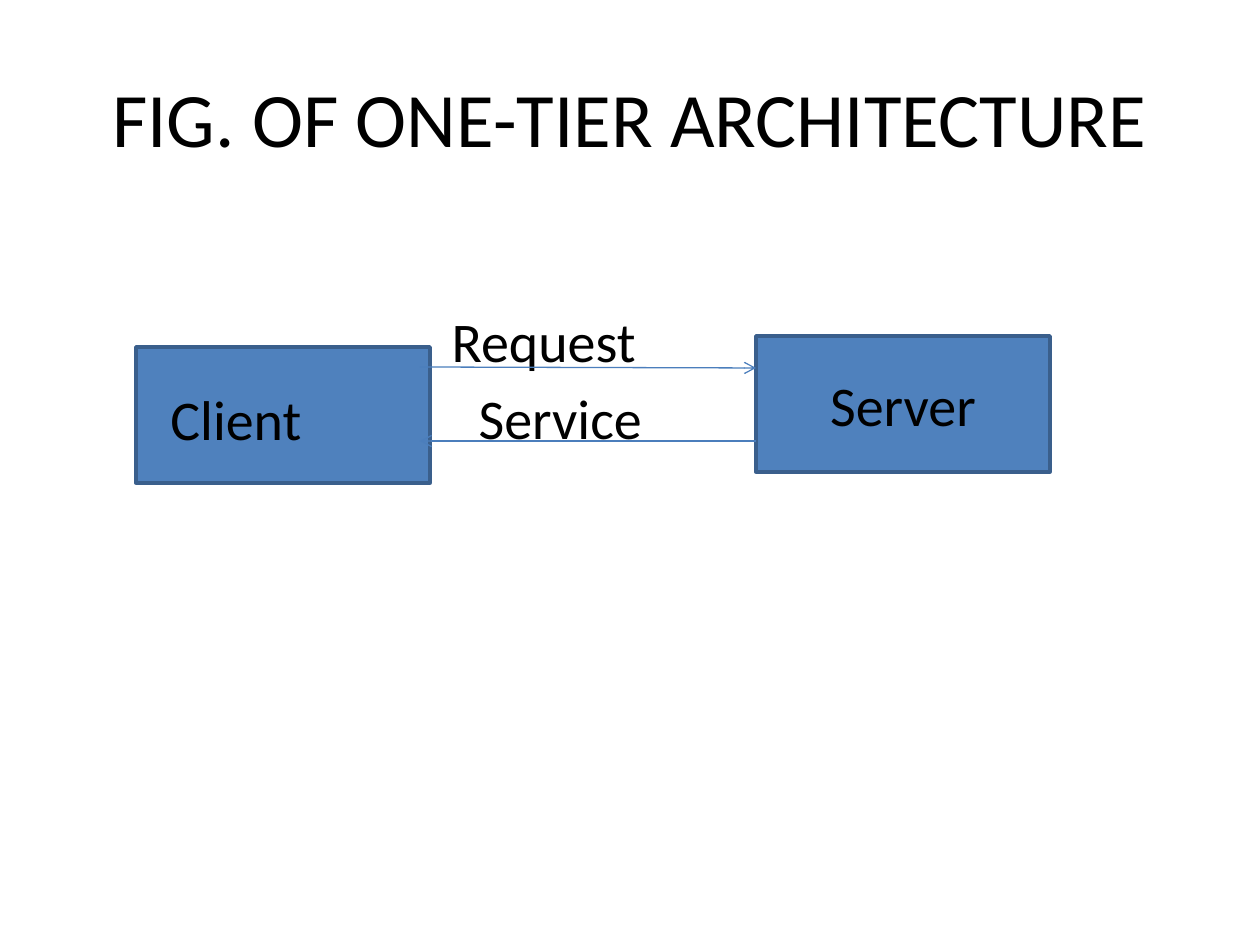
from pptx import Presentation
from pptx.dml.color import RGBColor
from pptx.enum.shapes import MSO_CONNECTOR as CONNECTOR, MSO_SHAPE as SHAPE
from pptx.enum.text import MSO_ANCHOR as ANCHOR, MSO_AUTO_SIZE as AUTO_SIZE, PP_ALIGN as ALIGN
from pptx.oxml.ns import qn
from pptx.util import Pt
from lxml.etree import SubElement

PX = 914400 / 126  # EMU per px
BLACK = RGBColor(0x00, 0x00, 0x00)
BOX_FILL = RGBColor(0x4F, 0x81, 0xBD)
BOX_LINE = RGBColor(0x3A, 0x5F, 0x8C)
ARROW_LINE = RGBColor(0x4B, 0x7E, 0xBC)


def px(*lengths):
    """Turn px lengths into EMU."""
    return [round(length * PX) for length in lengths]


def write(paragraph, text, size=32, align=ALIGN.LEFT):
    paragraph.alignment = align
    run = paragraph.add_run()
    run.text = text
    run.font.name = "Calibri"
    run.font.size = Pt(size)
    run.font.color.rgb = BLACK


deck = Presentation()
deck.slide_width, deck.slide_height = px(1260, 945)
slide = deck.slides.add_slide(deck.slide_layouts[1])
shapes = slide.shapes

title = shapes.title
title.left, title.top, title.width, title.height = px(63, 38, 1134, 157)
title.text_frame.auto_size = AUTO_SIZE.NONE
title.text_frame.vertical_anchor = ANCHOR.MIDDLE
write(title.text_frame.paragraphs[0], "FIG. OF ONE-TIER ARCHITECTURE",
      size=44, align=ALIGN.CENTER)

# The message labels stand above their arrows
messages = slide.placeholders[1]
messages.left, messages.top, messages.width, messages.height = px(63, 220, 1134, 624)
message_frame = messages.text_frame
message_frame.auto_size = AUTO_SIZE.NONE
message_frame.margin_top = px(86)[0]
message_frame.add_paragraph()
labels = [("Request", 376, 0), ("Service", 403, 6)]
for paragraph, (label, indent, space) in zip(message_frame.paragraphs, labels):
    properties = paragraph._p.get_or_add_pPr()
    properties.set("marL", str(px(indent)[0]))
    properties.set("indent", "0")
    paragraph.space_before = Pt(space)
    SubElement(properties, qn("a:buNone"))
    write(paragraph, label)

for left, top, label in [(136, 347, ""), (756, 336, "Server")]:
    box = shapes.add_shape(SHAPE.RECTANGLE, *px(left, top, 294, 136))
    box.shadow.inherit = False
    box.fill.solid()
    box.fill.fore_color.rgb = BOX_FILL
    box.line.color.rgb = BOX_LINE
    box.line.width = Pt(2)
    if label:
        box.text_frame.vertical_anchor = ANCHOR.MIDDLE
        write(box.text_frame.paragraphs[0], label, align=ALIGN.CENTER)

for ends in [(420, 367, 756, 368), (756, 441, 420, 441)]:
    arrow = shapes.add_connector(CONNECTOR.STRAIGHT, *px(*ends))
    arrow.line.color.rgb = ARROW_LINE
    arrow.line.width = Pt(0.75)
    SubElement(arrow.line._get_or_add_ln(), qn("a:tailEnd"), type="arrow")
    SubElement(arrow._element.spPr, qn("a:effectLst"))

client = shapes.add_textbox(*px(158, 378, 231, 81))
client.text_frame.word_wrap = True
client.text_frame.auto_size = AUTO_SIZE.SHAPE_TO_FIT_TEXT
write(client.text_frame.paragraphs[0], "Client")

deck.save("out.pptx")
